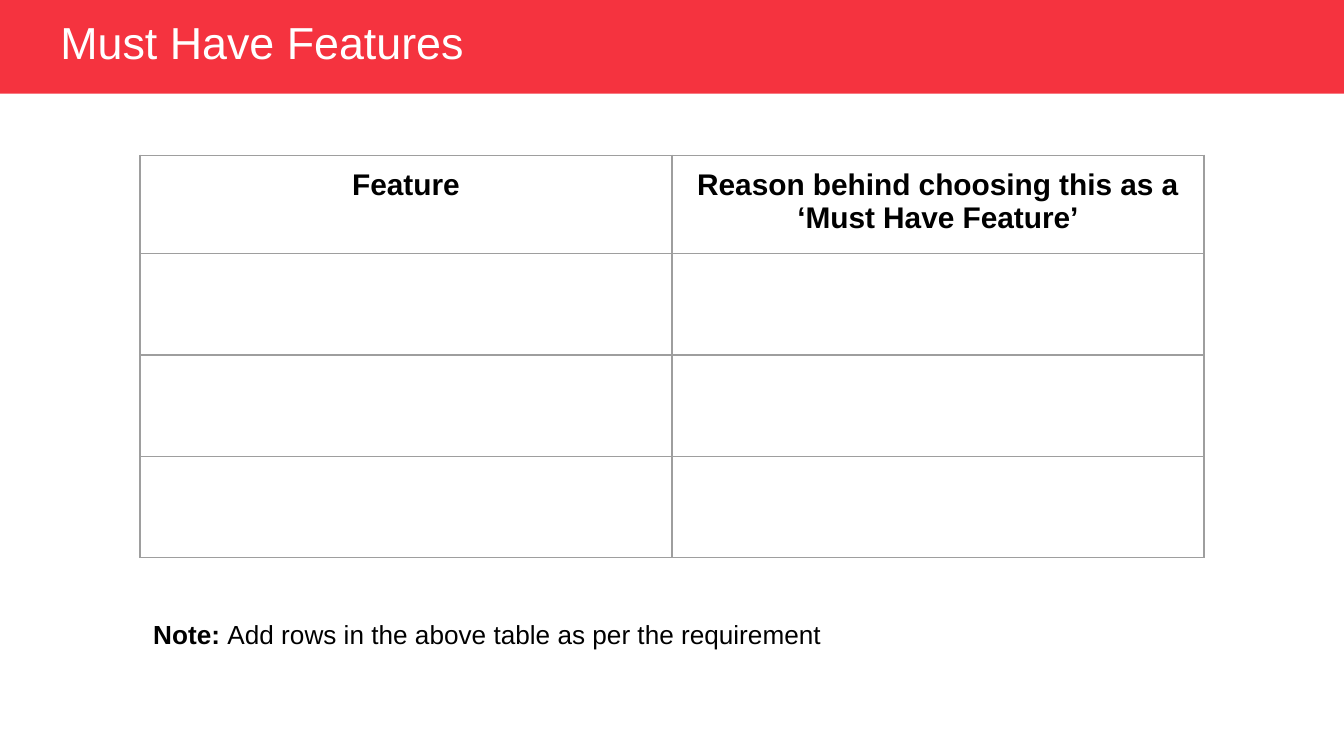
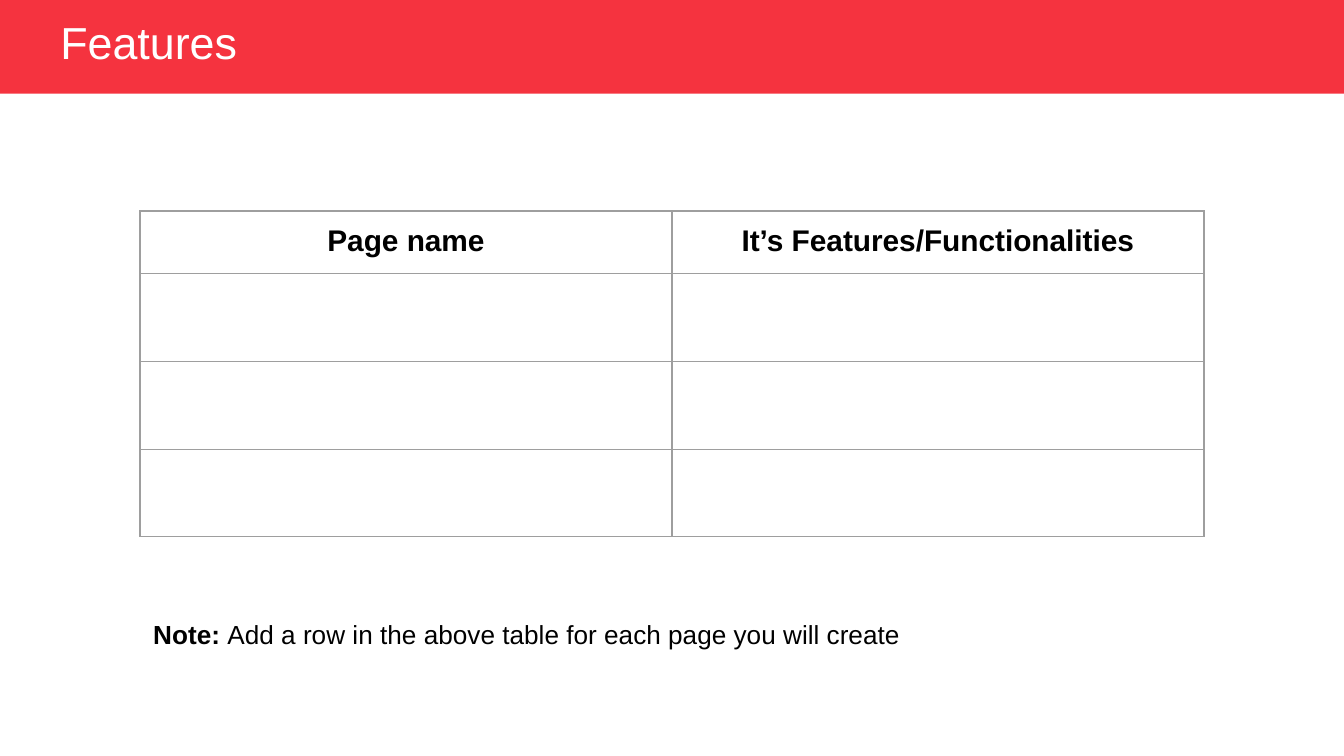
"""Build the two feature table slides."""
from dataclasses import dataclass

from lxml.etree import SubElement
from pptx import Presentation
from pptx.dml.color import RGBColor
from pptx.enum.shapes import MSO_SHAPE as SHAPE
from pptx.enum.text import MSO_ANCHOR as ANCHOR, PP_ALIGN as ALIGN
from pptx.oxml.ns import qn
from pptx.slide import Slide
from pptx.table import _Cell as Cell
from pptx.text.text import TextFrame, _Run as Run
from pptx.util import Pt

RED, WHITE, BLACK, GREY = "F5333F", "FFFFFF", "000000", "9E9E9E"
FONT = "Arial"
WIDTH, HEIGHT = 720, 405
LEFT, BODY_WIDTH = 75, 570
INSET = 7.2
BORDER = 0.75
BLANK_ROWS = 3


@dataclass(frozen=True)
class FeatureSlide:
    """Content and table measures of one slide."""
    title: str
    headers: tuple[str, ...]
    note: str
    top: float
    header_height: float
    row_height: float


SLIDES = (
    FeatureSlide("Must Have Features",
                 ("Feature", "Reason behind choosing this as a ‘Must Have Feature’"),
                 "Add rows in the above table as per the requirement",
                 83.2, 50, 54.2),
    FeatureSlide("Features",
                 ("Page name", "It’s Features/Functionalities"),
                 "Add a row in the above table for each page you will create",
                 113, 32.4, 47),
)


def color(value: str) -> RGBColor:
    """Turn a hex string into a colour."""
    return RGBColor.from_string(value)


def style_run(r: Run, size: float, fill: str = BLACK, bold: bool = False) -> None:
    """Format one run."""
    r.font.name = FONT
    r.font.size = Pt(size)
    r.font.bold = bold
    r.font.color.rgb = color(fill)


def add_text(s: Slide, left: float, top: float, width: float, height: float,
             inset: float) -> TextFrame:
    """Add a wrapping text box and return its text frame."""
    tf = s.shapes.add_textbox(Pt(left), Pt(top), Pt(width), Pt(height)).text_frame
    tf.word_wrap = True
    tf.margin_left = tf.margin_right = Pt(INSET)
    tf.margin_top = tf.margin_bottom = Pt(inset)
    return tf


def add_title(s: Slide, title: str) -> None:
    """Draw the red band and the title on it."""
    sp = s.shapes.add_shape(SHAPE.RECTANGLE, 0, 0, Pt(WIDTH), Pt(50.2))
    sp.shadow.inherit = False
    sp.fill.solid()
    sp.fill.fore_color.rgb = color(RED)
    sp.line.fill.background()
    tf = add_text(s, 25.2, 9.2, 294.5, 30, INSET / 2)
    tf.vertical_anchor = ANCHOR.MIDDLE
    tf.text = title
    p = tf.paragraphs[0]
    p.line_spacing = 0.9
    style_run(p.runs[0], 24, WHITE)


def style_cell(cell: Cell) -> None:
    """Give a cell its insets, grey borders and no fill."""
    cell.margin_left = cell.margin_right = Pt(INSET)
    cell.margin_top = cell.margin_bottom = Pt(INSET)
    props = cell._tc.get_or_add_tcPr()
    for side in ("a:lnL", "a:lnR", "a:lnT", "a:lnB"):
        ln = SubElement(props, qn(side), w=str(Pt(BORDER)))
        SubElement(SubElement(ln, qn("a:solidFill")), qn("a:srgbClr"), val=GREY)
    cell.fill.background()


def add_feature_table(s: Slide, spec: FeatureSlide) -> None:
    """Draw the table with its header row and blank rows."""
    heights = [spec.header_height] + [spec.row_height] * BLANK_ROWS
    columns = len(spec.headers)
    table = s.shapes.add_table(len(heights), columns, Pt(LEFT), Pt(spec.top),
                               Pt(BODY_WIDTH), Pt(sum(heights))).table
    table.first_row = table.horz_banding = False
    for column in table.columns:
        column.width = Pt(BODY_WIDTH / columns)
    for row, height in zip(table.rows, heights):
        row.height = Pt(height)
    for cell in table.iter_cells():
        style_cell(cell)
    for cell, header in zip(table.rows[0].cells, spec.headers):
        cell.text_frame.text = header
        p = cell.text_frame.paragraphs[0]
        p.alignment = ALIGN.CENTER
        style_run(p.runs[0], 16, bold=True)


def add_note(s: Slide, note: str) -> None:
    """Write the note below the table."""
    p = add_text(s, LEFT, 324, BODY_WIDTH, 39, INSET).paragraphs[0]
    for text, bold in (("Note: ", True), (note, False)):
        r = p.add_run()
        r.text = text
        style_run(r, 14, bold=bold)


def main() -> None:
    """Build and save the presentation."""
    prs = Presentation()
    prs.slide_width, prs.slide_height = Pt(WIDTH), Pt(HEIGHT)
    for content in SLIDES:
        s = prs.slides.add_slide(prs.slide_layouts[6])
        add_title(s, content.title)
        add_feature_table(s, content)
        add_note(s, content.note)
    prs.save("out.pptx")


if __name__ == "__main__":
    main()
